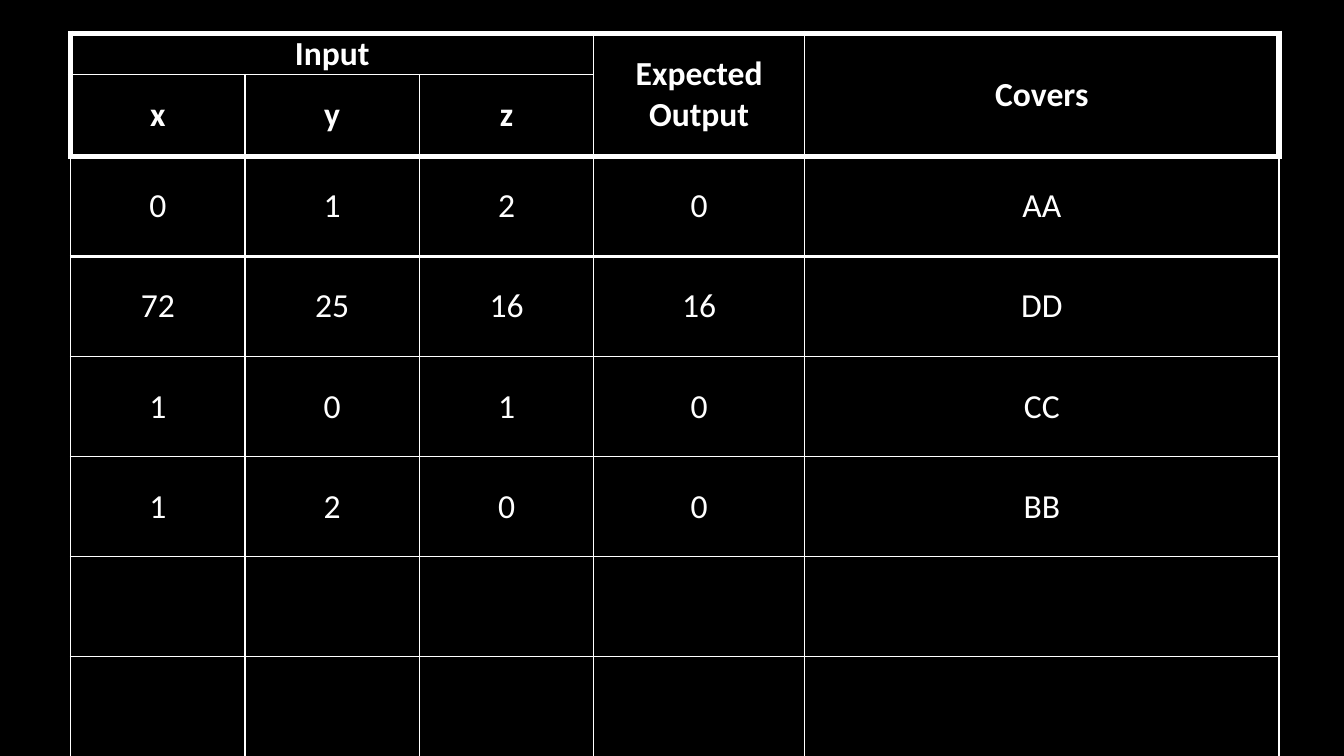
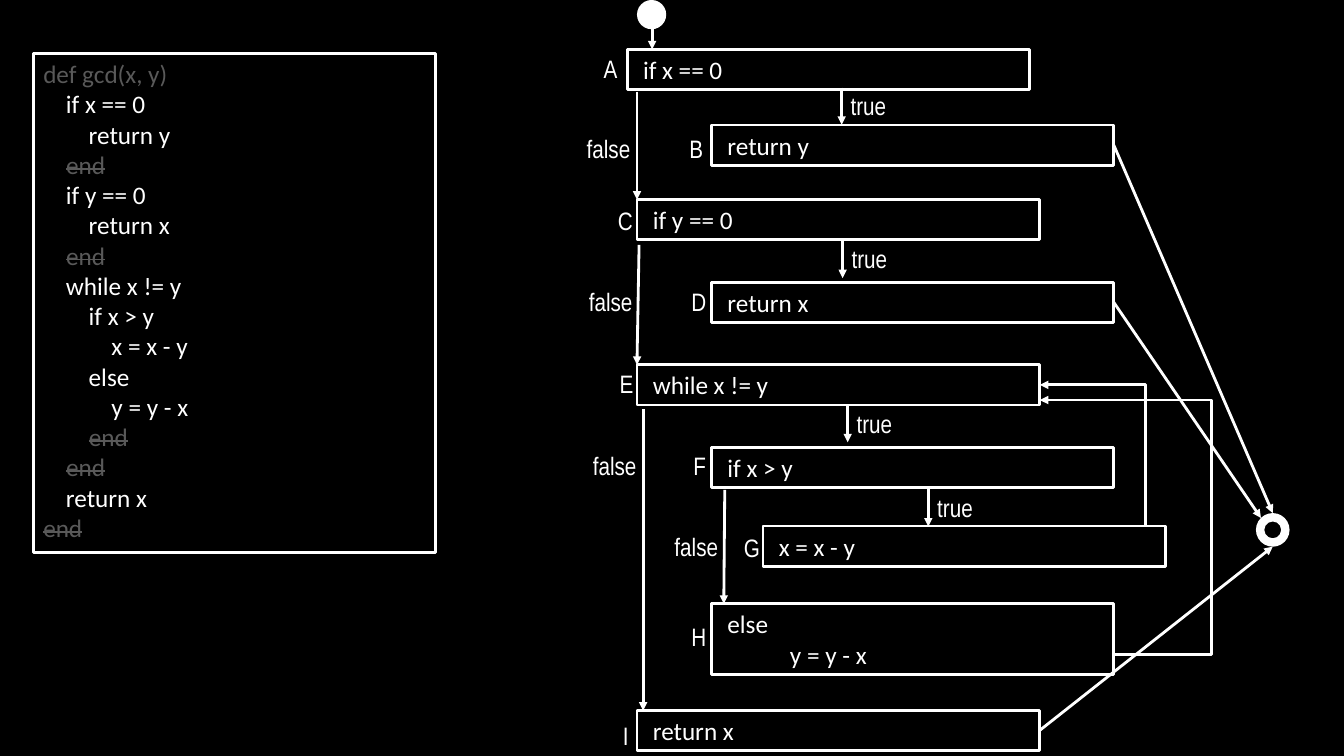
from lxml.etree import SubElement
from pptx import Presentation
from pptx.dml.color import RGBColor
from pptx.enum.shapes import MSO_CONNECTOR, MSO_SHAPE
from pptx.enum.text import MSO_ANCHOR, PP_ALIGN
from pptx.oxml import parse_xml
from pptx.oxml.ns import nsdecls, qn
from pptx.util import Pt

BLACK, WHITE, GRAY = "000000", "FFFFFF", "595959"
BODY_FONT, LABEL_FONT = "Calibri", "Arial Narrow"
THIN, MEDIUM, THICK = 1, 3, 4.5
NODE_WIDTH, NODE_HEIGHT = 287.3, 28.8

COLUMN_WIDTHS = [124.6, 124.6, 124.6, 150.5, 339]
ROW_HEIGHTS = [27.4] * 2 + [71.5] * 6
TEST_CASES = [
    ["Input", "", "", "Expected Output", "Covers"],
    ["x", "y", "z", "", ""],
    ["0", "1", "2", "0", "AA"],
    ["72", "25", "16", "16", "DD"],
    ["1", "0", "1", "0", "CC"],
    ["1", "2", "0", "0", "BB"],
    [""] * 5,
    [""] * 5,
]

CODE = """def gcd(x, y)
    if x == 0
        return y
    end
    if y == 0
        return x
    end
    while x != y
        if x > y
            x = x - y
        else
            y = y - x
        end
    end
    return x
end"""

NODES = {
    "A": (36, 35.3, ["if x == 0"], 12.1, 34.6),
    "B": (96.3, 89.3, ["return y"], 73.3, 91.4),
    "C": (43, 142.6, ["if y == 0"], 22.2, 143.3),
    "D": (96.3, 201.6, ["return x"], 74.7, 200.9),
    "E": (43, 260.6, ["while x != y"], 23.6, 259.9),
    "F": (96.3, 319.7, ["if x > y"], 76.2, 318.2),
    "G": (133, 375.8, ["x = x - y"], 112.2, 376.6),
    "H": (96.3, 431.3, ["else", "           y = y - x"], 74.7, 440.6),
    "I": (43, 507.6, ["return x"], 25.8, 511.2),
}
TRUE_BRANCHES = [(189.2, 62.6), (189.9, 172.1), (193.5, 289.4), (251.1, 349.6)]
FALSE_BRANCHES = [
    (43, 65.5, 43, 142.6),
    (44.5, 175, 43, 260.6),
    (47.4, 292.3, 47.4, 507.6),
    (105.7, 349.9, 105, 431.3),
]


def color(value):
    """Turn a hex string into a colour."""
    return RGBColor.from_string(value)


def add_run(paragraph, text, size=18, font=BODY_FONT, tint=WHITE, bold=False, strike=False):
    """Append one formatted run to a paragraph."""
    run = paragraph.add_run()
    run.text = text
    run.font.size = Pt(size)
    run.font.name = font
    run.font.bold = bold
    run.font.color.rgb = color(tint)
    if strike:
        run._r.get_or_add_rPr().set("strike", "sngStrike")


def add_paragraph(frame, index):
    """Return the first paragraph of a frame, or a new left-aligned one."""
    paragraph = frame.add_paragraph() if index else frame.paragraphs[0]
    paragraph.alignment = PP_ALIGN.LEFT
    return paragraph


def add_black_slide(presentation):
    """Add a blank slide with the shared black background."""
    slide = presentation.slides.add_slide(presentation.slide_layouts[6])
    slide.background.fill.solid()
    slide.background.fill.fore_color.rgb = color(BLACK)
    return slide


def add_frame(slide, left, top, width, height, inset=7.2):
    """Add an outlined rectangle for code."""
    shape = slide.shapes.add_shape(MSO_SHAPE.RECTANGLE, Pt(left), Pt(top), Pt(width), Pt(height))
    shape.shadow.inherit = False
    shape.fill.background()
    shape.line.color.rgb = color(WHITE)
    shape.line.width = Pt(2)
    shape.text_frame.word_wrap = True
    shape.text_frame.vertical_anchor = MSO_ANCHOR.TOP
    shape.text_frame.margin_left = Pt(inset)
    return shape


def add_terminal(slide, kind, left, top, size):
    """Add a solid white start or end mark."""
    shape = slide.shapes.add_shape(kind, Pt(left), Pt(top), Pt(size), Pt(size))
    shape.shadow.inherit = False
    shape.fill.solid()
    shape.fill.fore_color.rgb = color(WHITE)
    shape.line.fill.background()


def add_label(slide, text, left, top, width):
    """Add a short unwrapped label."""
    box = slide.shapes.add_textbox(Pt(left), Pt(top), Pt(width), Pt(NODE_HEIGHT))
    box.text_frame.word_wrap = False
    add_run(box.text_frame.paragraphs[0], text, font=LABEL_FONT)


def add_arrow(slide, start, end, kind=MSO_CONNECTOR.STRAIGHT):
    """Add a white connector with an arrowhead at its end."""
    connector = slide.shapes.add_connector(kind, *(Pt(value) for value in (*start, *end)))
    connector.line.color.rgb = color(WHITE)
    connector.line.width = Pt(2)
    SubElement(connector.line._get_or_add_ln(), qn("a:tailEnd"), type="triangle")
    SubElement(connector._element.spPr, qn("a:effectLst"))
    return connector


def add_corner_arrow(slide, start, end):
    """Add an arrow that runs up and then left."""
    center_x, center_y = (start[0] + end[0]) / 2, (start[1] + end[1]) / 2
    half_width, half_height = (start[1] - end[1]) / 2, (start[0] - end[0]) / 2
    connector = add_arrow(
        slide,
        (center_x - half_width, center_y + half_height),
        (center_x + half_width, center_y - half_height),
        MSO_CONNECTOR.ELBOW,
    )
    properties = connector._element.spPr
    properties.find(qn("a:xfrm")).set("rot", "16200000")
    properties.find(qn("a:prstGeom")).set("prst", "bentConnector2")


def add_loop_arrow(slide, start, end, turn):
    """Add an arrow that goes out to a turning line and back."""
    connector = add_arrow(slide, start, end, MSO_CONNECTOR.ELBOW)
    share = round(100000 * (turn - start[0]) / (end[0] - start[0]))
    geometry = connector._element.spPr.find(qn("a:prstGeom"))
    guides = geometry.find(qn("a:avLst"))
    if guides is None:
        guides = SubElement(geometry, qn("a:avLst"))
    SubElement(guides, qn("a:gd"), name="adj1", fmla=f"val {share}")


def border_widths(row, column):
    """Give the left, right, top and bottom border widths of a cell."""
    header = row < 2
    left = THICK if header and column == 0 else THIN
    right = THICK if header and column == 4 else THIN
    top = {0: THICK, 2: THICK, 3: MEDIUM}.get(row, THIN)
    bottom = {1: THICK, 2: MEDIUM}.get(row, THIN)
    if row == 0 and column >= 3:
        bottom = THICK
    return {"L": left, "R": right, "T": top, "B": bottom}


def set_borders(cell, widths):
    """Draw white borders on the four sides of a cell."""
    properties = cell._tc.get_or_add_tcPr()
    for index, (side, width) in enumerate(widths.items()):
        line = parse_xml(
            f'<a:ln{side} {nsdecls("a")} w="{int(Pt(width))}"><a:solidFill>'
            f'<a:srgbClr val="{WHITE}"/></a:solidFill></a:ln{side}>'
        )
        properties.insert(index, line)


def add_test_table(slide, left, top):
    """Place the table of test cases."""
    graphic = slide.shapes.add_table(
        len(ROW_HEIGHTS), len(COLUMN_WIDTHS), Pt(left), Pt(top),
        Pt(sum(COLUMN_WIDTHS)), Pt(sum(ROW_HEIGHTS)),
    )
    table = graphic.table
    table.first_row = table.horz_banding = False
    for column, width in zip(table.columns, COLUMN_WIDTHS):
        column.width = Pt(width)
    for row, height in zip(table.rows, ROW_HEIGHTS):
        row.height = Pt(height)
    for first, last in [((0, 0), (0, 2)), ((0, 3), (1, 3)), ((0, 4), (1, 4))]:
        table.cell(*first).merge(table.cell(*last))
    for row, texts in enumerate(TEST_CASES):
        for column, text in enumerate(texts):
            cell = table.cell(row, column)
            cell.fill.background()
            cell.vertical_anchor = MSO_ANCHOR.MIDDLE
            cell.margin_left = cell.margin_right = Pt(5)
            cell.margin_top = cell.margin_bottom = Pt(0)
            set_borders(cell, border_widths(row, column))
            paragraph = cell.text_frame.paragraphs[0]
            paragraph.alignment = PP_ALIGN.CENTER
            if text:
                add_run(paragraph, text, size=24, bold=row < 2)


def add_code_panel(slide, left, top, width, height):
    """Place the listing with its non-executable lines dimmed."""
    frame = add_frame(slide, left, top, width, height).text_frame
    for index, line in enumerate(CODE.splitlines()):
        paragraph = add_paragraph(frame, index)
        statement = line.lstrip()
        if statement == "end":
            indent = line[:-len(statement)]
            if indent:
                add_run(paragraph, indent, tint=GRAY)
            add_run(paragraph, statement, tint=GRAY, strike=True)
        else:
            add_run(paragraph, line, tint=WHITE if index else GRAY)


def add_flow_graph(slide, left, top):
    """Place the control flow graph with its nodes, branches and exits."""

    def at(x, y):
        """Shift a point into the region."""
        return left + x, top + y

    add_terminal(slide, MSO_SHAPE.OVAL, *at(43, 0), 20.9)
    add_terminal(slide, MSO_SHAPE.DONUT, *at(485.1, 366.5), 24)
    add_arrow(slide, at(53.8, 20.9), at(53.8, 35.3))

    nodes = {}
    for name, (x, y, lines, label_x, label_y) in NODES.items():
        height = NODE_HEIGHT + 22 * (len(lines) - 1)
        nodes[name] = add_frame(slide, *at(x, y), NODE_WIDTH, height, inset=11.3)
        for index, line in enumerate(lines):
            add_run(add_paragraph(nodes[name].text_frame, index), line)
        add_label(slide, name, *at(label_x, label_y), 18.7 if name == "I" else 25)

    for x, y in TRUE_BRANCHES:
        add_arrow(slide, at(x, y), at(x, y + 26.5))
        add_label(slide, "true", *at(x - 0.7, y - 1.5), 40.3)
    for x, y, end_x, end_y in FALSE_BRANCHES:
        add_arrow(slide, at(x, y), at(end_x, end_y))
        add_label(slide, "false", *at(x - 43, y + 26), 46)

    for name, target in [("B", (497.1, 366.5)), ("D", (488.7, 370)), ("I", (497.1, 390.5))]:
        arrow = add_arrow(slide, at(0, 0), at(*target))
        arrow.begin_connect(nodes[name], 3)

    add_corner_arrow(slide, at(406, 375.3), at(330.8, 275))
    add_loop_arrow(slide, at(383.6, 467.3), at(330.8, 285.8), left + 453.4)


def main():
    """Build and save the presentation."""
    presentation = Presentation()
    presentation.slide_width, presentation.slide_height = Pt(960), Pt(540)
    add_test_table(add_black_slide(presentation), 50.4, 23.8)
    graph_slide = add_black_slide(presentation)
    add_code_panel(graph_slide, 23.8, 38.2, NODE_WIDTH, 356.4)
    add_flow_graph(graph_slide, 412, 0)
    presentation.save("out.pptx")


if __name__ == "__main__":
    main()
